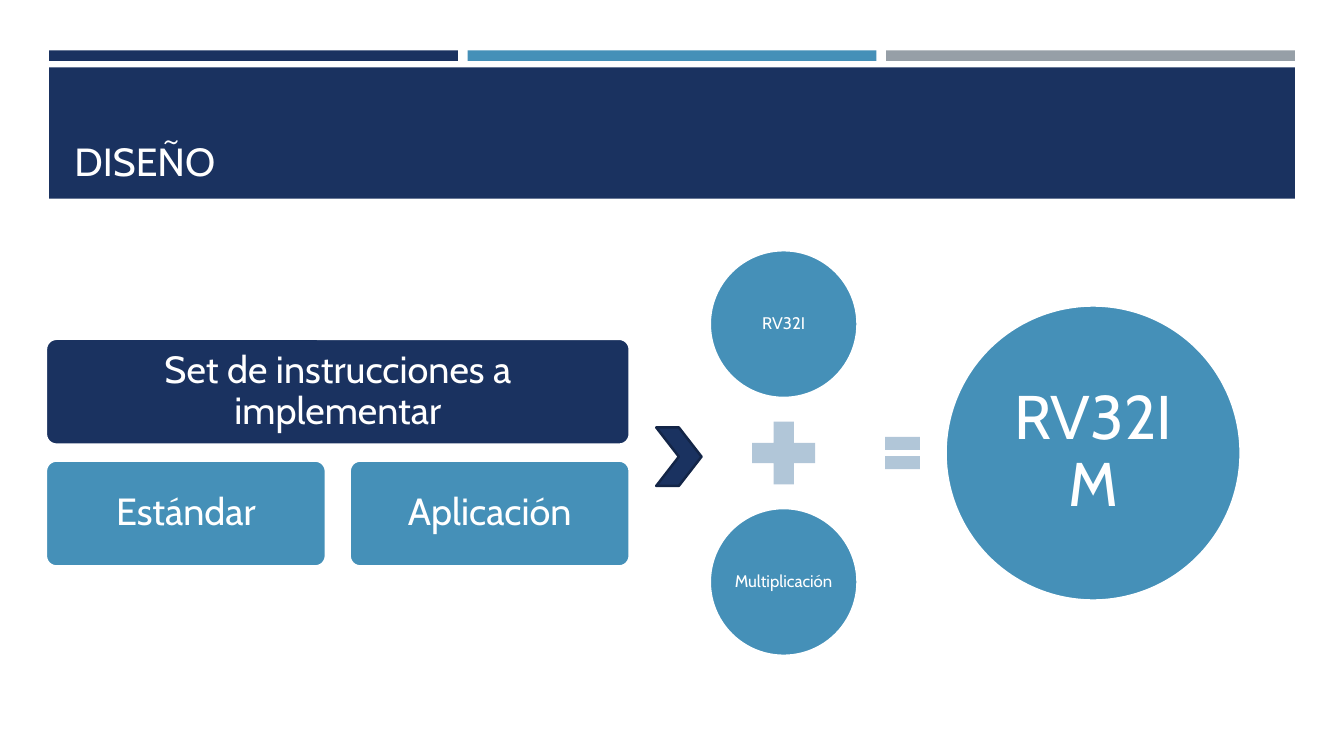
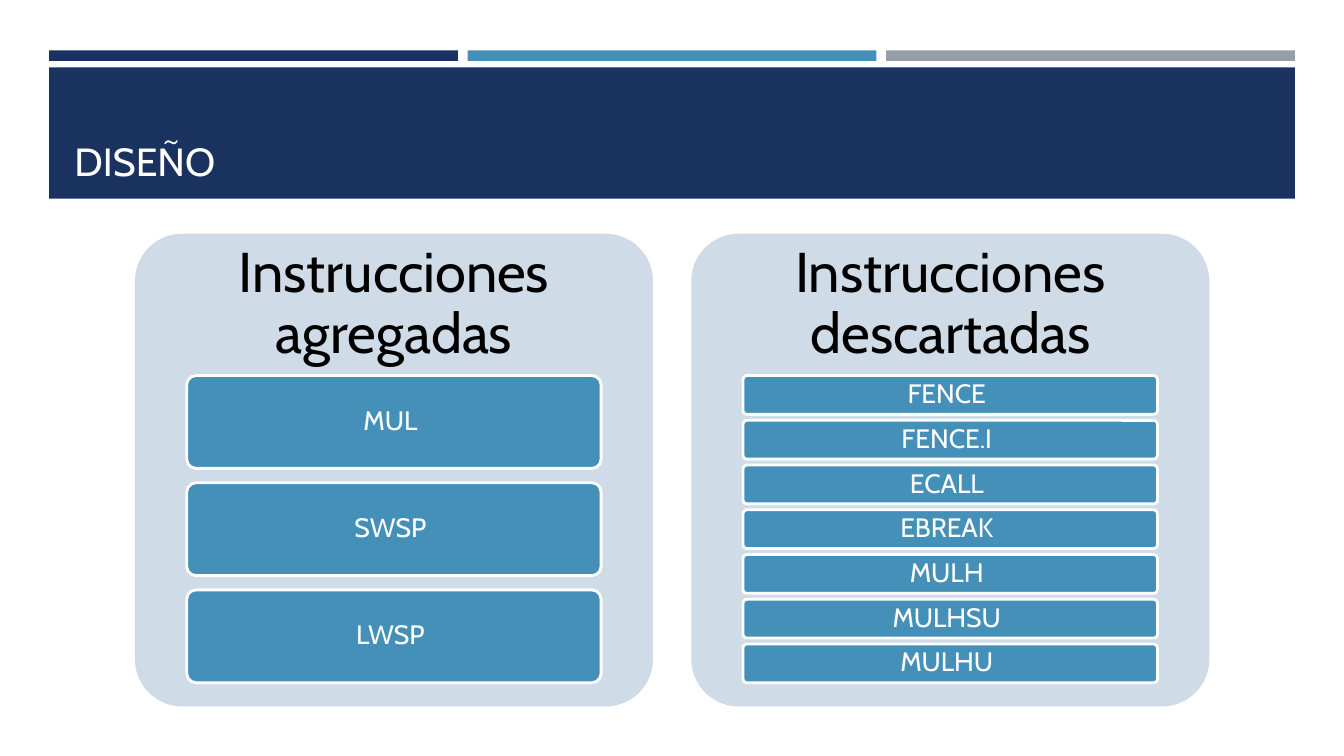
from dataclasses import dataclass
from typing import Any, Optional

import pptx
import pptx.dml.color
import pptx.enum.shapes
import pptx.enum.text
import pptx.util

Pt = pptx.util.Pt
RGB = pptx.dml.color.RGBColor.from_string
Shape = pptx.enum.shapes.MSO_SHAPE
Anchor = pptx.enum.text.MSO_ANCHOR
Align = pptx.enum.text.PP_ALIGN


@dataclass(frozen=True)
class Theme:
    font: str = "Cabin"
    navy: str = "1A3260"
    navy_edge: str = "132547"
    blue: str = "4590B8"
    gray: str = "969FA7"
    pale: str = "B1C6D8"
    panel: str = "CFDBE6"
    white: str = "FFFFFF"
    black: str = "000000"
    title: float = 28
    result: float = 44
    heading: float = 40
    block: float = 27
    item: float = 19
    term: float = 12


THEME = Theme()


@dataclass(frozen=True)
class Box:
    left: float
    top: float
    width: float
    height: float

    def lengths(self) -> tuple[Any, ...]:
        return tuple(Pt(round(v, 2)) for v in (self.left, self.top, self.width, self.height))


@dataclass(frozen=True)
class Label:
    text: str
    size: float
    color: str = THEME.white
    margin: float = 0
    extra_right: float = 0


@dataclass(frozen=True)
class Figure:
    kind: Any
    box: Box
    fill: str
    line: Optional[str] = None
    line_width: float = 2
    label: Optional[Label] = None


@dataclass(frozen=True)
class Group:
    heading: str
    items: tuple[str, ...]


MARGIN = 35
CONTENT_WIDTH = 890
STRIPE_GAP = 7
TITLE_BAND = Box(MARGIN, 48.2, CONTENT_WIDTH, 93.8)
TITLE_BOX = Box(46, 55.5, 868, 79.8)

EQUATION_MIDDLE = 323.6
TERM_CENTER = 559.8
TERM_SIZE = 105.8
TERM_DISTANCE = 92.1

PANEL = Box(96.4, 167, 370, 337.6)
PANEL_PITCH = 397.4
ITEM_GAP_RATIO = 2 / 13

GROUPS = (
    Group("Instrucciones agregadas", ("MUL", "SWSP", "LWSP")),
    Group(
        "Instrucciones descartadas",
        ("FENCE", "FENCE.I", "ECALL", "EBREAK", "MULH", "MULHSU", "MULHU"),
    ),
)


def apply(target: Any, values: dict[str, Any]) -> None:
    for key, value in values.items():
        setattr(target, key, value)


def style_font(font: Any, size: float, color: str) -> None:
    apply(font, {"name": THEME.font, "size": Pt(size), "bold": False})
    font.color.rgb = RGB(color)


def write(holder: Any, label: Label) -> None:
    frame = holder.text_frame
    margin = Pt(label.margin)
    apply(frame, {
        "word_wrap": True,
        "vertical_anchor": Anchor.MIDDLE,
        "margin_left": margin,
        "margin_right": Pt(label.margin + label.extra_right),
        "margin_top": margin,
        "margin_bottom": margin,
    })
    paragraph = frame.paragraphs[0]
    apply(paragraph, {"alignment": Align.CENTER, "line_spacing": 0.9})
    run = paragraph.add_run()
    run.text = label.text
    style_font(run.font, label.size, label.color)


def draw(slide: Any, figure: Figure) -> Any:
    shape = slide.shapes.add_shape(figure.kind, *figure.box.lengths())
    shape.shadow.inherit = False
    if figure.kind == Shape.ROUNDED_RECTANGLE:
        shape.adjustments[0] = 0.1
    shape.fill.solid()
    shape.fill.fore_color.rgb = RGB(figure.fill)
    if figure.line:
        shape.line.color.rgb = RGB(figure.line)
        shape.line.width = Pt(figure.line_width)
    else:
        shape.line.fill.background()
    if figure.label:
        write(shape, figure.label)
    return shape


def centered(x: float, y: float, width: float, height: float) -> Box:
    return Box(x - width / 2, y - height / 2, width, height)


def add_bands_to_layout(slide: Any) -> None:
    width = (CONTENT_WIDTH - 2 * STRIPE_GAP) / 3
    bands = [
        Figure(Shape.RECTANGLE, Box(MARGIN + i * (width + STRIPE_GAP), 36, width, 7.5), color)
        for i, color in enumerate((THEME.navy, THEME.blue, THEME.gray))
    ]
    bands.append(Figure(Shape.RECTANGLE, TITLE_BAND, THEME.navy))
    layout_tree = slide.slide_layout.shapes.element
    for position, band in enumerate(bands, start=2):
        layout_tree.insert(position, draw(slide, band).element)


def add_titled_slide(deck: Any, text: str) -> Any:
    slide = deck.slides.add_slide(deck.slide_layouts[5])
    title = slide.shapes.title
    apply(title, dict(zip(("left", "top", "width", "height"), TITLE_BOX.lengths())))
    title.text = text
    apply(title.text_frame, {
        "vertical_anchor": Anchor.BOTTOM,
        "auto_size": pptx.enum.text.MSO_AUTO_SIZE.NONE,
    })
    paragraph = title.text_frame.paragraphs[0]
    paragraph.alignment = Align.LEFT
    style_font(paragraph.runs[0].font, THEME.title, THEME.white)
    return slide


def draw_instruction_set(slide: Any) -> None:
    blocks = (
        ("Set de instrucciones a implementar", Box(32.8, 242, 417, 75.6), THEME.navy),
        ("Estándar", Box(32.8, 329, 200, 75.6), THEME.blue),
        ("Aplicación", Box(249.8, 329, 200, 75.6), THEME.blue),
    )
    for text, box, color in blocks:
        label = Label(text, THEME.block, margin=8)
        draw(slide, Figure(Shape.ROUNDED_RECTANGLE, box, color, THEME.white, 1.75, label))
    draw(slide, Figure(Shape.CHEVRON, Box(468.7, 305.3, 32.4, 41.8),
                       THEME.navy, THEME.navy_edge, 1.75))


def draw_equation(slide: Any) -> None:
    for text, direction in (("RV32I", -1), ("Multiplicación", 1)):
        box = centered(TERM_CENTER, EQUATION_MIDDLE + direction * TERM_DISTANCE,
                       TERM_SIZE, TERM_SIZE)
        draw(slide, Figure(Shape.OVAL, box, THEME.blue, THEME.white,
                           label=Label(text, THEME.term, margin=1.4)))
    operators = (
        (Shape.MATH_PLUS, TERM_CENTER, 61.2, 61.2),
        (Shape.MATH_EQUAL, 644.7, 33.8, 39.4),
    )
    for kind, center, width, height in operators:
        draw(slide, Figure(kind, centered(center, EQUATION_MIDDLE, width, height), THEME.pale))
    draw(slide, Figure(Shape.OVAL, centered(780.8, EQUATION_MIDDLE, 211, 211),
                       THEME.blue, THEME.white,
                       label=Label("RV32IM", THEME.result, margin=4.3)))


def draw_group(slide: Any, group: Group, left: float) -> None:
    panel = Box(left, PANEL.top, PANEL.width, PANEL.height)
    draw(slide, Figure(Shape.ROUNDED_RECTANGLE, panel, THEME.panel))
    heading_height = 0.3 * panel.height
    heading = Box(left, panel.top, panel.width, heading_height)
    write(slide.shapes.add_textbox(*heading.lengths()),
          Label(group.heading, THEME.heading, THEME.black, 12))
    count = len(group.items)
    height = 0.65 * panel.height / (count + (count - 1) * ITEM_GAP_RATIO)
    for i, text in enumerate(group.items):
        top = panel.top + heading_height + i * height * (1 + ITEM_GAP_RATIO)
        box = Box(left + 0.1 * panel.width, top, 0.8 * panel.width, height)
        label = Label(text, THEME.item, margin=3, extra_right=5)
        draw(slide, Figure(Shape.ROUNDED_RECTANGLE, box, THEME.blue, THEME.white, label=label))


def main() -> None:
    deck = pptx.Presentation()
    apply(deck, {"slide_width": Pt(960), "slide_height": Pt(540)})
    design = add_titled_slide(deck, "DISEÑO")
    add_bands_to_layout(design)
    draw_equation(design)
    draw_instruction_set(design)
    instructions = add_titled_slide(deck, "DISEÑO")
    for i, group in enumerate(GROUPS):
        draw_group(instructions, group, PANEL.left + i * PANEL_PITCH)
    deck.save("out.pptx")


if __name__ == "__main__":
    main()
